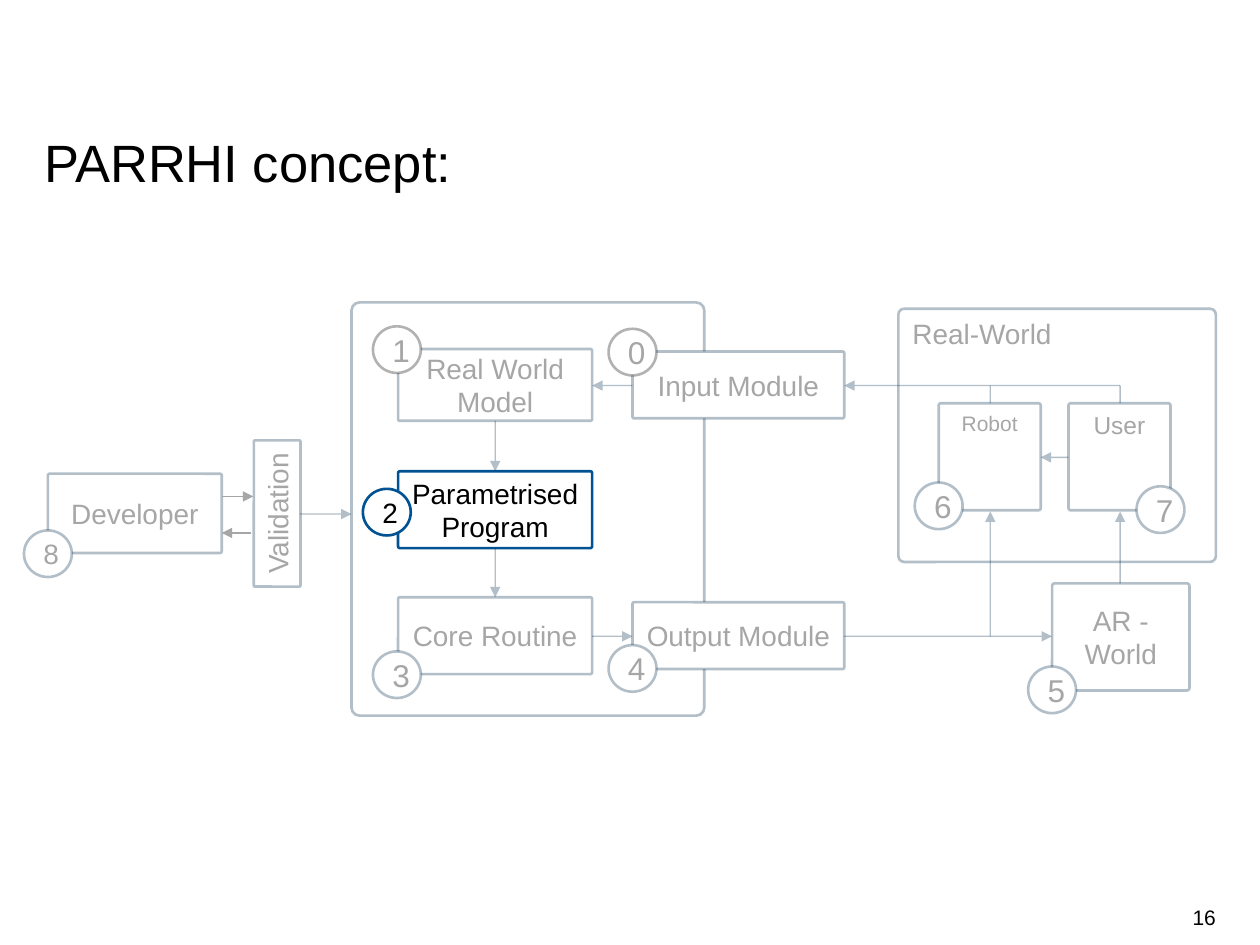
from pptx import Presentation
from pptx.dml.color import RGBColor as RGB
from pptx.enum.shapes import MSO_CONNECTOR as CON, MSO_SHAPE as SHAPE
from pptx.enum.text import MSO_ANCHOR as ANCHOR, PP_ALIGN as ALIGN
from pptx.oxml.ns import qn
from pptx.util import Inches, Pt
from lxml.etree import SubElement as Sub

HUES = {"navy": "00294A", "blue": "005293", "black": "000000",
        "gray": "A6A6A6", "white": "FFFFFF"}
FADED = ("navy", 30)
DARK = ("black", 30)
LIVE = ("blue", 100)

deck = Presentation()
deck.slide_width, deck.slide_height = Inches(10), Inches(7.5)
slide = deck.slides.add_slide(deck.slide_layouts[5])
shapes = slide.shapes


def write(frame, text, size, hue, align=ALIGN.CENTER, anchor=ANCHOR.MIDDLE):
    frame.word_wrap = True
    frame.vertical_anchor = anchor
    para = frame.paragraphs[0]
    para.alignment = align
    run = para.add_run()
    run.text = text
    run.font.name, run.font.size = "Arial", Pt(size)
    run.font.color.rgb = RGB.from_string(HUES[hue])
    return para


def stroke(line, style, width):
    hue, alpha = style
    line.color.rgb = RGB.from_string(HUES[hue])
    line.width = Pt(width)
    if alpha < 100:
        color = line.fill._xPr.find(".//" + qn("a:srgbClr"))
        Sub(color, qn("a:alpha"), val=str(alpha * 1000))


# Title
title = shapes.title
title.left, title.top = Inches(0.35), Inches(1.09)
title.width, title.height = Inches(9.31), Inches(0.45)
frame = title.text_frame
frame.margin_left = frame.margin_right = 0
frame.margin_top = frame.margin_bottom = 0
para = write(frame, "PARRHI concept:", 30, "black", ALIGN.LEFT, ANCHOR.TOP)
para.line_spacing = Pt(32)

# Frames and modules: text, size, place, fill, style, anchor
MID, TOP = ANCHOR.MIDDLE, ANCHOR.TOP
boxes = [
    ("", 16, (2.79, 2.4, 2.8, 3.28), None, FADED, MID),
    ("Real-World", 16, (7.13, 2.45, 2.52, 2.01), None, FADED, TOP),
    ("Real World Model", 16, (3.16, 2.77, 1.54, 0.57), "white", FADED, MID),
    ("Parametrised Program", 16, (3.16, 3.74, 1.54, 0.61), None, LIVE, MID),
    ("Core Routine", 16, (3.16, 4.74, 1.54, 0.61), None, FADED, MID),
    ("Input Module", 16, (5.02, 2.79, 1.68, 0.53), "white", FADED, MID),
    ("Output Module", 16, (5.02, 4.78, 1.68, 0.53), "white", FADED, MID),
    ("AR - World", 16, (8.35, 4.63, 1.09, 0.85), None, FADED, MID),
    ("Robot", 12, (7.45, 3.2, 0.81, 0.85), None, FADED, TOP),
    ("User", 14, (8.48, 3.2, 0.81, 0.85), None, FADED, TOP),
    ("Developer", 16, (0.38, 3.76, 1.38, 0.63), None, FADED, MID),
    ("Validation", 16, (1.62, 3.89, 1.16, 0.37), None, FADED, MID),
]
# Number badges: text, size, left, top, style
badges = [
    ("0", 18, 4.83, 2.61, DARK), ("1", 18, 2.96, 2.59, DARK),
    ("2", 16, 2.88, 3.88, LIVE), ("3", 18, 2.96, 5.17, FADED),
    ("4", 18, 4.83, 5.12, FADED), ("5", 18, 8.16, 5.29, FADED),
    ("6", 18, 7.26, 3.83, FADED), ("7", 18, 9.02, 3.86, FADED),
    ("8", 16, 0.19, 4.21, FADED),
]
nodes = [(SHAPE.ROUNDED_RECTANGLE, *box) for box in boxes]
nodes += [(SHAPE.OVAL, text, size, (x, y, 0.38, 0.37), "white", style, MID)
          for text, size, x, y, style in badges]
for kind, text, size, place, fill, style, anchor in nodes:
    node = shapes.add_shape(kind, *map(Inches, place))
    node.shadow.inherit = False
    if kind == SHAPE.ROUNDED_RECTANGLE:
        node.adjustments[0] = 0.023
    if fill:
        node.fill.solid()
        node.fill.fore_color.rgb = RGB.from_string(HUES[fill])
    else:
        node.fill.background()
    stroke(node.line, style, 1.5)
    if text == "Validation":
        node.rotation = 270
    if text:
        align = ALIGN.LEFT if text == "Real-World" else ALIGN.CENTER
        hue = "black" if style == LIVE else "gray"
        write(node.text_frame, text, size, hue, align, anchor)

# Arrows and plain lines: start, end, style, arrowhead
GRAY = ("gray", 100)
links = [
    (3.93, 3.34, 3.93, 3.74, FADED, True),
    (3.93, 4.35, 3.93, 4.74, FADED, True),
    (5.02, 3.06, 4.7, 3.06, FADED, True),
    (4.7, 5.05, 5.02, 5.05, FADED, True),
    (8.48, 3.63, 8.26, 3.63, FADED, True),
    (2.38, 4.08, 2.79, 4.08, FADED, True),
    (6.7, 5.05, 8.35, 5.05, FADED, True),
    (8.89, 4.63, 8.89, 4.06, FADED, True),
    (7.86, 5.05, 7.86, 4.06, FADED, True),
    (8.89, 3.06, 6.7, 3.06, FADED, True),
    (7.86, 3.2, 7.86, 3.06, FADED, False),
    (8.89, 3.2, 8.89, 3.06, FADED, False),
    (1.99, 4.23, 1.76, 4.23, GRAY, True),
    (1.76, 3.94, 2.01, 3.94, GRAY, True),
]
for *ends, style, head in links:
    link = shapes.add_connector(CON.STRAIGHT, *map(Inches, ends))
    stroke(link.line, style, 0.75)
    if head:
        Sub(link.line._get_or_add_ln(), qn("a:tailEnd"), type="triangle")
    Sub(link._element.spPr, qn("a:effectLst"))

# Slide number
page = shapes.add_textbox(Inches(7.41), Inches(7.08), Inches(2.24), Inches(0.4))
page.text_frame.margin_left = page.text_frame.margin_right = 0
write(page.text_frame, "16", 12, "black", ALIGN.RIGHT)

deck.save("out.pptx")
